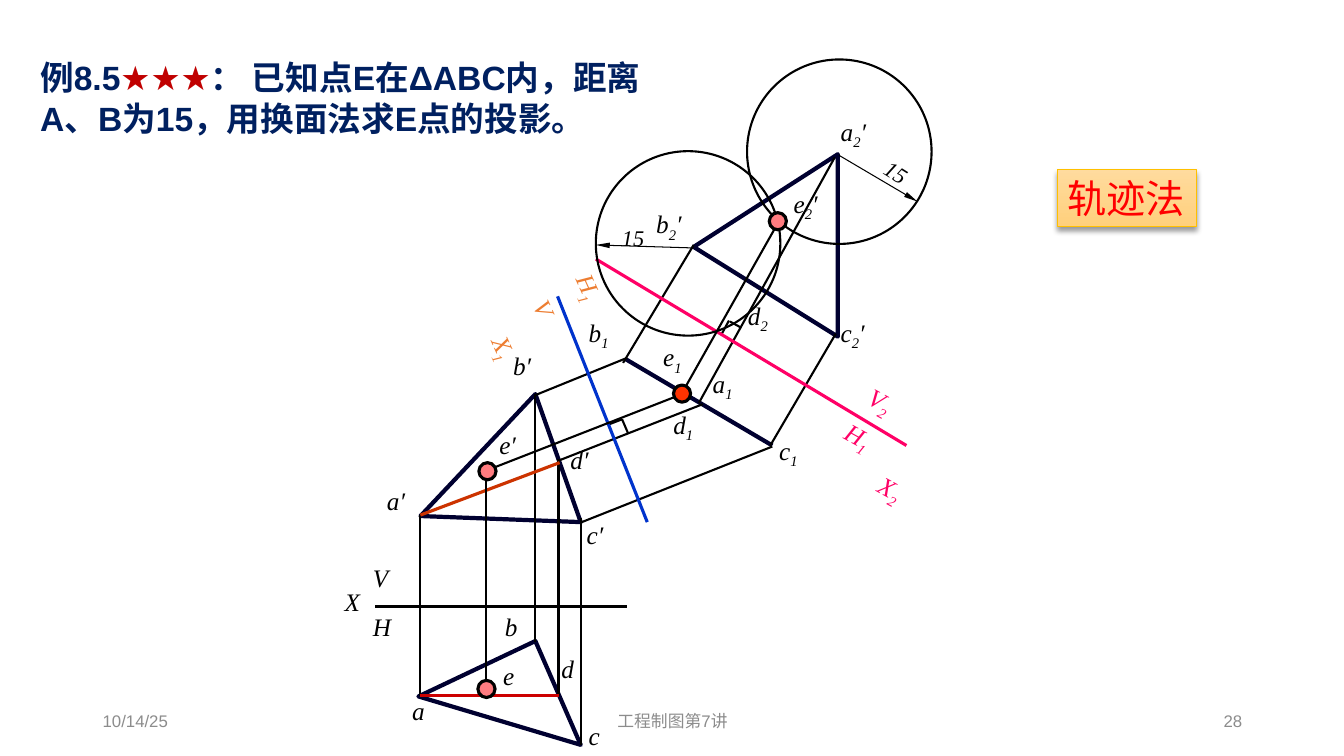
from lxml import etree
from pptx import Presentation
from pptx.dml.color import RGBColor
from pptx.enum import shapes, text
from pptx.oxml import ns
from pptx.util import Inches, Pt

rgb = RGBColor.from_string
ALIGN = {"l": text.PP_ALIGN.LEFT, "c": text.PP_ALIGN.CENTER, "r": text.PP_ALIGN.RIGHT}

prs = Presentation()
prs.slide_width, prs.slide_height = Inches(13.33), Inches(7.5)
slide = prs.slides.add_slide(prs.slide_layouts[6])
sps = slide.shapes


def sub(parent, tag, **attrs):
    return etree.SubElement(parent, ns.qn(tag), attrs)


def add_text(content, x=0, y=0, w=1, h=0.5, size=18, color="000000", font="Times New Roman",
             italic=True, bold=False, align="l", middle=False, wrap=True, rot=0,
             accent=None, sp=None):
    """Every second part between bars is a subscript, or takes the accent colour."""
    if sp is None:
        sp = sps.add_textbox(Inches(x), Inches(y), Inches(w), Inches(h))
        sp.rotation = rot
    tf = sp.text_frame
    tf.word_wrap = wrap
    tf.vertical_anchor = text.MSO_ANCHOR.MIDDLE if middle else text.MSO_ANCHOR.TOP
    p = tf.paragraphs[0]
    p.alignment = ALIGN[align]
    for i, part in enumerate(content.split("|")):
        if not part:
            continue
        r = p.add_run()
        r.text = part
        f = r.font
        f.size, f.name, f.italic, f.bold = Pt(size), font, italic, bold
        f.color.rgb = rgb(accent if accent and i % 2 else color)
        rPr = r._r.get_or_add_rPr()
        sub(rPr, "a:ea", typeface="Noto Sans CJK SC" if font == "Arial" else font)
        if i % 2 and not accent:
            rPr.set("baseline", "-25000")


# Footer
for content, x, w, align in [("10/14/25", 0.92, 3, "l"), ("工程制图第7讲", 4.42, 4.5, "c"),
                             ("28", 9.42, 3, "r")]:
    add_text(content, x, 6.95, w, 0.4, size=12, color="8C8C8C", font="Arial",
             italic=False, align=align, middle=True)

# Problem statement
add_text("例8.5|★★★|： 已知点E在ΔABC内，距离A、B为15，用换面法求E点的投影。",
         0.3, 0.52, 6.46, 0.91, size=24, color="002060", font="Arial",
         italic=False, bold=True, accent="C00000")

# Triangle ABC in the V, H and V2 planes
for start, *rest in [
    [(4.17, 5.12), (5.76, 5.18), (5.31, 3.91)],
    [(4.15, 6.91), (5.31, 6.36), (5.76, 7.39)],
    [(8.31, 1.53), (6.88, 2.45), (8.31, 3.34)],
]:
    fb = sps.build_freeform(Inches(start[0]), Inches(start[1]))
    fb.add_line_segments([(Inches(x), Inches(y)) for x, y in rest], close=True)
    sp = fb.convert_to_shape()
    sp.shadow.inherit = False
    sp.fill.background()
    sp.line.color.rgb, sp.line.width = rgb("000030"), Pt(3)

# Lines: colour, width, arrow at the end, then the end points
for color, width, arrow, ends in [
    # Triangle seen edge-on in H1
    ("000030", 3, False, [(6.2, 3.56, 7.66, 4.42)]),
    # Projectors of A, B, C, D and the right-angle marks
    ("000000", 1.5, False, [
        (4.17, 5.11, 4.17, 6.9), (5.76, 5.14, 5.76, 7.39), (5.31, 3.91, 5.31, 6.37),
        (5.54, 4.55, 5.54, 6.9), (5.54, 4.57, 6.97, 4.01), (5.31, 3.92, 6.22, 3.55),
        (5.77, 5.18, 7.66, 4.43), (7.64, 4.42, 8.29, 3.31), (6.88, 2.43, 6.18, 3.6),
        (6.93, 4, 8.28, 1.56),
        (6.04, 4.21, 6.17, 4.16), (6.17, 4.16, 6.23, 4.3),
        (7.16, 3.31, 7.23, 3.18), (7.24, 3.19, 7.35, 3.25)]),
    # Line AD
    ("CC0000", 2.25, False, [(4.17, 6.9, 5.54, 6.9)]),
    ("CC3300", 2.25, False, [(5.55, 4.59, 4.17, 5.11)]),
    # Axes X, X1, X2
    ("000000", 2.25, False, [(3.72, 6.02, 6.22, 6.02)]),
    ("0033CC", 2.25, False, [(5.53, 2.94, 6.42, 5.18)]),
    ("FF0066", 2.25, False, [(5.91, 2.57, 8.99, 4.42)]),
    # Projectors of E
    ("000000", 1.5, False, [(4.82, 4.67, 4.82, 6.75), (6.74, 3.92, 4.82, 4.67),
                            (7.74, 2.17, 6.77, 3.89)]),
    # Radii
    ("000000", 0.75, True, [(6.88, 2.46, 5.91, 2.43), (8.32, 1.54, 9.1, 2)]),
]:
    for end in ends:
        cxn = sps.add_connector(shapes.MSO_CONNECTOR.STRAIGHT, *map(Inches, end))
        cxn.line.color.rgb, cxn.line.width = rgb(color), Pt(width)
        spPr = cxn._element.spPr
        if arrow:
            sub(spPr.find(ns.qn("a:ln")), "a:tailEnd", type="triangle", w="sm", len="lg")
        sub(spPr, "a:effectLst")

# Locus circles, then the projections of E
for x, y, d, fill, width in [
    (5.91, 1.5, 1.83, None, 1.5), (7.41, 0.59, 1.83, None, 1.5),
    (4.74, 6.75, 0.17, "FF7C80", 2.25), (4.75, 4.59, 0.17, "FF7C80", 2.25),
    (6.68, 3.82, 0.17, "FF3300", 2.25), (7.63, 2.11, 0.17, "FF7C80", 2.25),
]:
    sp = sps.add_shape(shapes.MSO_SHAPE.OVAL, Inches(x), Inches(y), Inches(d), Inches(d))
    sp.shadow.inherit = False
    if fill:
        sp.fill.solid()
        sp.fill.fore_color.rgb = rgb(fill)
    else:
        sp.fill.background()
    sp.line.color.rgb, sp.line.width = rgb("000000"), Pt(width)

# Upright point and axis labels
for content, x, y in [
    ("a′", 3.74, 4.77), ("b′", 4.99, 3.43), ("c′", 5.72, 5.1), ("d′", 5.56, 4.36),
    ("a", 3.99, 6.85), ("b", 4.91, 6.02), ("c", 5.74, 7.1), ("d", 5.47, 6.43),
    ("a|1", 6.97, 3.6), ("b|1", 5.74, 3.1), ("c|1", 7.63, 4.27), ("d|1", 6.58, 4.01),
    ("a|2|′", 8.24, 1.1), ("b|2|′", 6.41, 2.02), ("c|2|′", 8.24, 3.1), ("d|2", 7.32, 2.93),
    ("X", 3.32, 5.77), ("V", 3.6, 5.53), ("H", 3.6, 6.02),
]:
    add_text(content, x, y, 0.8)

# Labels of E
for content, x, y, w in [("e", 4.87, 6.45, 0.35), ("e′", 4.82, 4.16, 0.43),
                         ("e|1", 6.44, 3.31, 0.46), ("e|2|′", 7.72, 1.79, 0.54)]:
    add_text(content, x, y, w, align="c", middle=True, wrap=False)

# Labels along the new axes
for content, x, y, w, color, rot in [
    ("X|1", 4.61, 3.43, 0.89, "ED7D31", 65.6), ("H|1", 5.45, 2.82, 0.89, "ED7D31", 65.6),
    ("V", 5.12, 2.93, 0.56, "ED7D31", 65.6), ("X|2", 8.57, 4.75, 0.89, "FF0066", 28.8),
    ("V|2", 8.47, 3.88, 0.89, "FF0066", 28.8), ("H|1", 8.25, 4.19, 0.74, "FF0066", 28.8),
]:
    add_text(content, x, y, w, color=color, rot=rot)

# Radius values
for x, y, rot in [(6.07, 2.17, 0), (8.66, 1.59, 32.1)]:
    add_text("15", x, y, 0.67, 0.37, size=16, rot=rot)

# Method tag
sp = sps.add_shape(shapes.MSO_SHAPE.RECTANGLE, Inches(10.49), Inches(1.68),
                   Inches(1.38), Inches(0.57))
sp.fill.gradient()
sp.fill.gradient_angle = 270
for stop, color in zip(sp.fill.gradient_stops, ["FFDB9E", "FFD07C"]):
    stop.color.rgb = rgb(color)
sp.line.color.rgb, sp.line.width = rgb("FFC000"), Pt(0.5)
sp.shadow.inherit = False
shadow = sub(sp._element.spPr.find(ns.qn("a:effectLst")), "a:outerShdw",
             blurRad=str(Pt(4)), dist=str(Pt(3)), dir="5400000", rotWithShape="0")
sub(sub(shadow, "a:srgbClr", val="000000"), "a:alpha", val="40000")
add_text("轨迹法", size=28, color="FF0000", font="Noto Sans CJK SC", italic=False,
         wrap=False, sp=sp)

prs.save("out.pptx")
